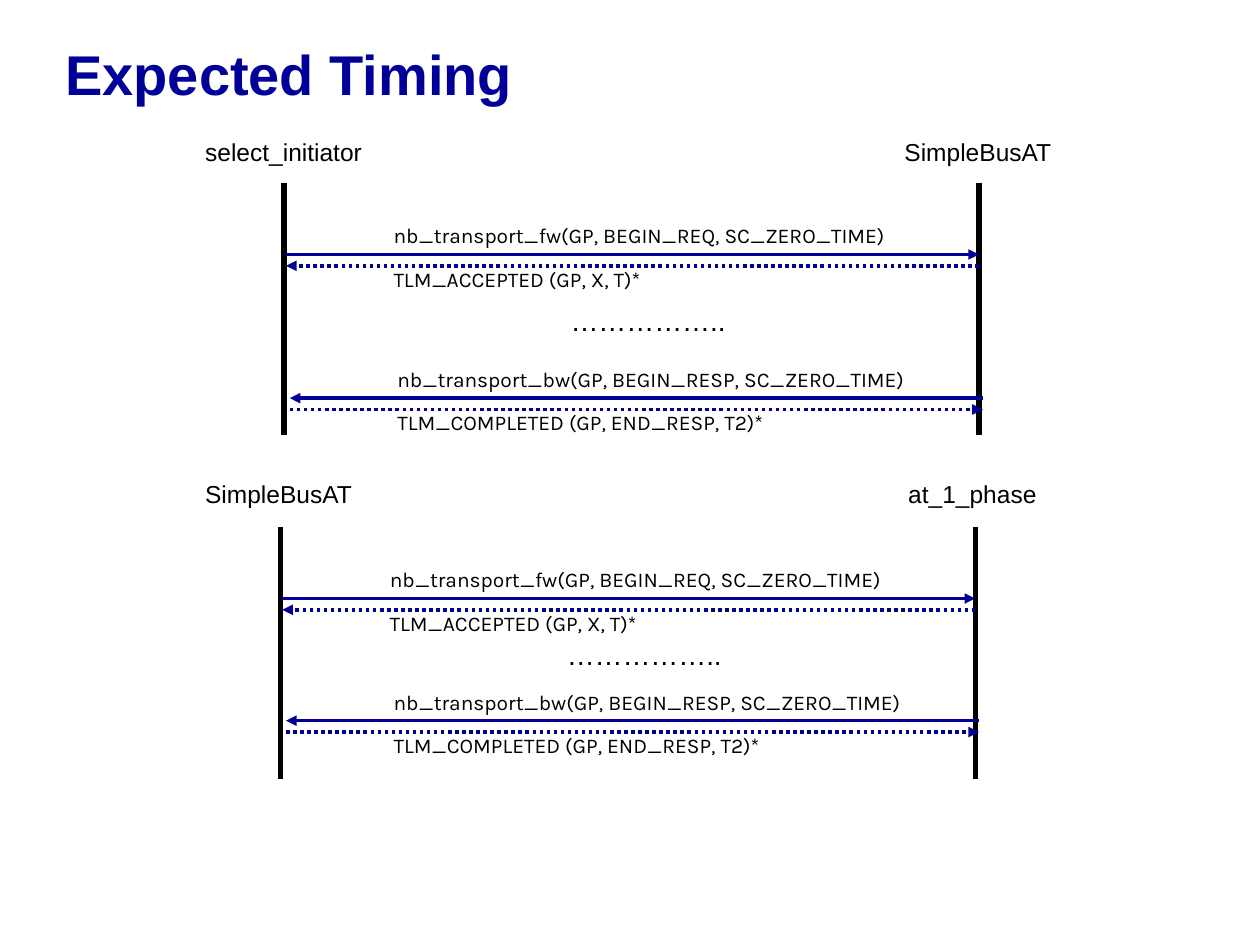
"""Build the Expected Timing slide: two message sequence charts."""
from dataclasses import dataclass

import pptx
import pptx.dml.color
import pptx.enum.dml
import pptx.enum.shapes
import pptx.enum.text
import pptx.oxml
import pptx.oxml.ns
import pptx.util


@dataclass(frozen=True)
class Theme:
    """Colours, fonts, type sizes and line widths."""
    navy: str = "000099"
    black: str = "000000"
    sans: str = "Arial"
    message_font: str = "Karla"
    title_size: int = 32
    dots_size: int = 16
    name_size: int = 14
    message_size: int = 12
    lifeline_width: int = 3
    arrow_width: int = 2


class SequenceSlide:
    """Style and current slide, on a grid of 100 columns by 75 rows."""

    columns, rows = 100, 75
    span = 55

    def __init__(self, presentation, theme):
        self.theme = theme
        self.column = presentation.slide_width / self.columns
        self.row = presentation.slide_height / self.rows
        self.slide = presentation.slides.add_slide(presentation.slide_layouts[6])
        self.shapes = self.slide.shapes

    def place(self, column, row):
        """Turn a grid position or size into slide lengths."""
        return round(column * self.column), round(row * self.row)

    def text(self, words, position, size, font, points, wrap=True, **formats):
        """Add a text box."""
        box = self.shapes.add_textbox(*self.place(*position), *self.place(*size))
        frame = box.text_frame
        frame.word_wrap = wrap
        frame.auto_size = pptx.enum.text.MSO_AUTO_SIZE.SHAPE_TO_FIT_TEXT
        run = frame.paragraphs[0].add_run()
        run.text = words
        colour = formats.pop("colour", self.theme.black)
        run.font.color.rgb = pptx.dml.color.RGBColor.from_string(colour)
        values = {"name": font, "size": pptx.util.Pt(points), **formats}
        for attribute, value in values.items():
            setattr(run.font, attribute, value)
        return box

    def title(self, words):
        """Add the slide title."""
        box = self.text(words, (4.2, 0), (95, 12.5), self.theme.sans,
                        self.theme.title_size, bold=True, colour=self.theme.navy)
        box.text_frame.auto_size = pptx.enum.text.MSO_AUTO_SIZE.NONE
        box.text_frame.vertical_anchor = pptx.enum.text.MSO_ANCHOR.MIDDLE
        box.text_frame.paragraphs[0].line_spacing = 0.85

    def line(self, start, end, colour, width):
        """Add a straight line without shadow."""
        connector = self.shapes.add_connector(
            pptx.enum.shapes.MSO_CONNECTOR.STRAIGHT,
            *self.place(*start), *self.place(*end))
        connector.line.color.rgb = pptx.dml.color.RGBColor.from_string(colour)
        connector.line.width = pptx.util.Pt(width)
        properties = connector._element.spPr
        properties.append(pptx.oxml.parse_xml(
            f'<a:effectLst {pptx.oxml.ns.nsdecls("a")}/>'))
        return connector

    def arrow(self, start, end, dotted=False):
        """Add a message arrow, dotted for a return."""
        connector = self.line(start, end, self.theme.navy, self.theme.arrow_width)
        if dotted:
            connector.line.dash_style = pptx.enum.dml.MSO_LINE.ROUND_DOT
        connector.line._get_or_add_ln().append(pptx.oxml.parse_xml(
            f'<a:tailEnd {pptx.oxml.ns.nsdecls("a")} type="triangle"/>'))

    def exchange(self, left, row, call, answer, widths, forward):
        """Add a call and its return with their captions."""
        ends = (left, left + self.span)
        start, end = ends if forward else ends[::-1]
        self.arrow((start, row), (end, row))
        self.arrow((end, row + 0.9), (start, row + 0.9), dotted=True)
        for words, offset, width in zip((call, answer), (-3, 0.45), widths):
            self.text(words, (left + 7.55, row + offset), (width, 3),
                      self.theme.message_font, self.theme.message_size)

    def sequence(self, left, top, names, name_row, dots_row, response_row):
        """Add one grouped chart of two lifelines and two exchanges."""
        self.shapes = self.slide.shapes.add_group_shape().shapes
        for column in (left - 0.15, left + self.span):
            self.line((column, top), (column, top + 20),
                      self.theme.black, self.theme.lifeline_width)
        self.exchange(left, top + 5.7,
                      "nb_transport_fw(GP, BEGIN_REQ, SC_ZERO_TIME)",
                      "TLM_ACCEPTED (GP, X, T)*", (42.5, 43.3), True)
        self.exchange(left + 0.3, response_row,
                      "nb_transport_bw(GP, BEGIN_RESP, SC_ZERO_TIME)",
                      "TLM_COMPLETED (GP, END_RESP, T2)*", (43.3, 35.8), False)
        self.text("……………..", (left + 21.6, dots_row), (14.5, 3.7),
                  self.theme.sans, self.theme.dots_size, wrap=False)
        for name, column, width in names:
            self.text(name, (column, name_row), (width, 3.4),
                      self.theme.sans, self.theme.name_size, wrap=False)
        self.shapes = self.slide.shapes


def main():
    """Build and save the presentation."""
    presentation = pptx.Presentation()
    presentation.slide_width = pptx.util.Inches(10)
    presentation.slide_height = pptx.util.Inches(7.5)
    sheet = SequenceSlide(presentation, Theme())
    sheet.title("Expected Timing")
    sheet.sequence(
        22.7, 14.5, name_row=10.4, dots_row=23.6, response_row=31.6,
        names=(("select_initiator", 15.3, 15), ("SimpleBusAT", 70.8, 14)))
    sheet.sequence(
        22.4, 41.8, name_row=37.5, dots_row=50.1, response_row=57.2,
        names=(("SimpleBusAT", 15.3, 14), ("at_1_phase", 71.1, 12.5)))
    presentation.save("out.pptx")


if __name__ == "__main__":
    main()
